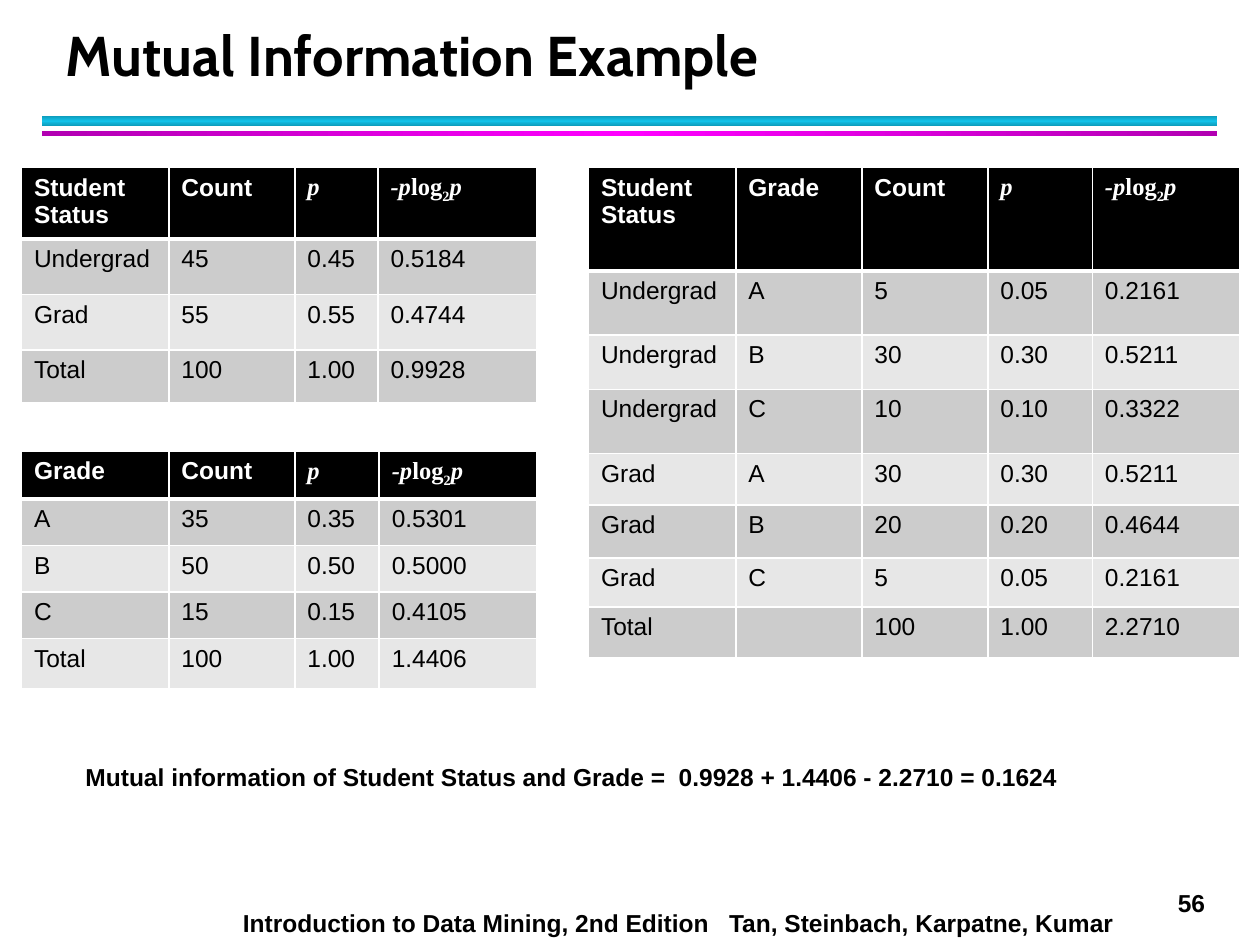
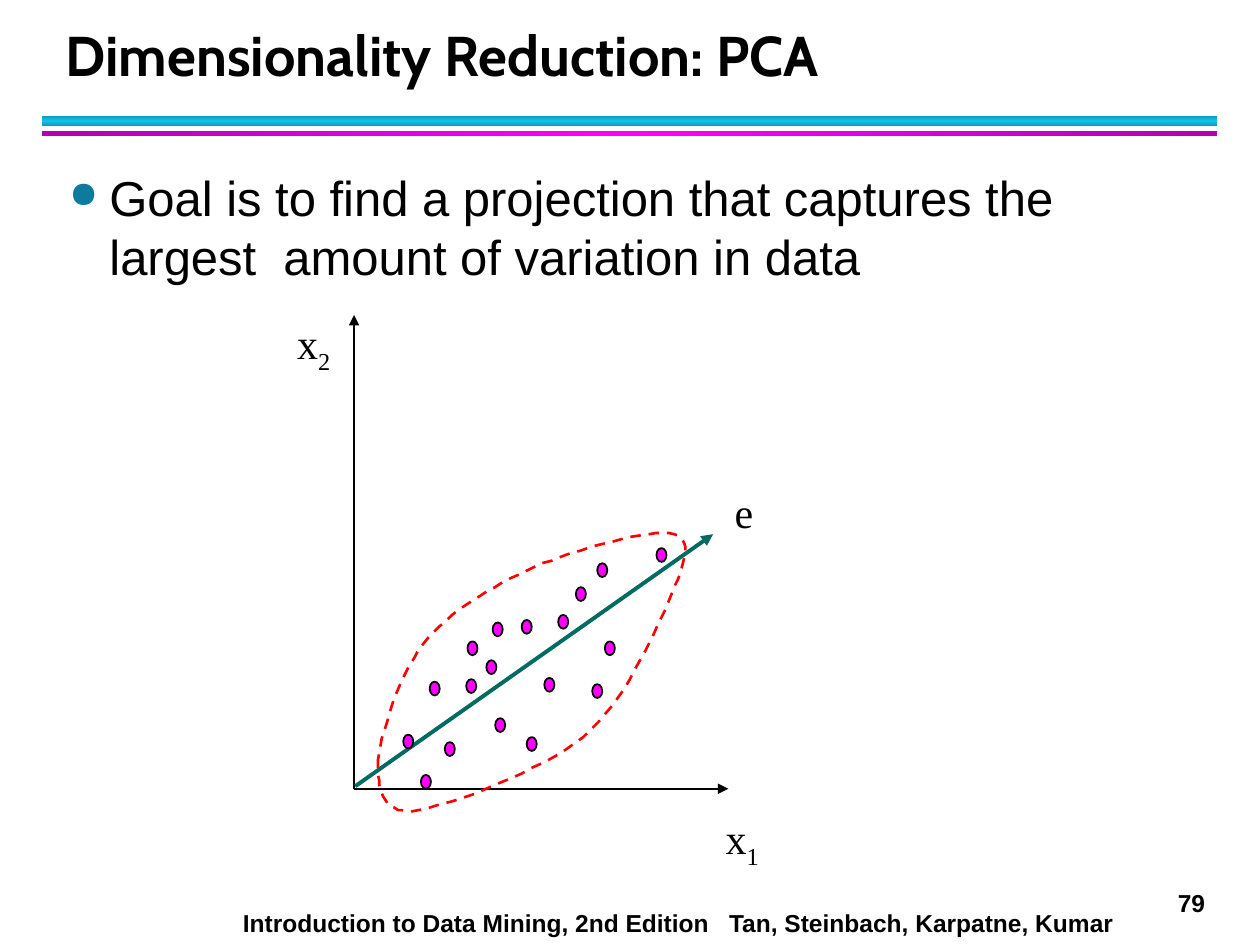
import copy

import pptx
import pptx.dml.color
import pptx.enum.dml
import pptx.enum.shapes
import pptx.enum.text
import pptx.oxml
import pptx.oxml.ns
import pptx.util
from lxml import etree

BLACK, WHITE = "000000", "FFFFFF"
MAGENTA, TEAL, RED = "FF00FF", "006B61", "FF0000"
SANS, SERIF, TITLE_FONT = "Arial", "Times New Roman", "Cabin"
STRIPES = ("E7E7E7", "CCCCCC")
SHAPES = pptx.enum.shapes.MSO_SHAPE
ANCHOR = pptx.enum.text.MSO_ANCHOR
ALIGN = pptx.enum.text.PP_ALIGN
QN = pptx.oxml.ns.qn


def color(hex_string):
    return pptx.dml.color.RGBColor.from_string(hex_string)


def write_text(frame, text, size=14, font=SANS, fill=BLACK, bold=False,
               wrap=True, anchor=ANCHOR.TOP, align=ALIGN.LEFT):
    """Write one paragraph; text is a string or a list of (part, style) pairs."""
    frame.word_wrap = wrap
    frame.vertical_anchor = anchor
    paragraph = frame.paragraphs[0]
    paragraph.alignment = align
    for part, style in [(text, "")] if isinstance(text, str) else text:
        run = paragraph.add_run()
        run.text = part
        run.font.size = pptx.util.Pt(size)
        run.font.name = font
        run.font.bold = bold
        run.font.italic = style == "italic"
        run.font.color.rgb = color(fill)
        if style == "subscript":
            run.font._element.set("baseline", "-25000")
    return paragraph


presentation = pptx.Presentation()
presentation.slide_width = pptx.util.Inches(10)
presentation.slide_height = pptx.util.Inches(7.5)
# The slide is a grid of 1000 columns and 750 rows of square cells
CELL = presentation.slide_width // 1000

# Shared parts: bands, page number, footer, title
BANDS = [  # top, height, edge colour, middle colour, angle
    (92, 8, "0E9BBA", "12C2E9", 90),
    (104, 4, "B200B2", MAGENTA, 0),
]
FOOTER = "Introduction to Data Mining, 2nd Edition   Tan, Steinbach, Karpatne, Kumar"
PAGES = [("Mutual Information Example", "56"), ("Dimensionality Reduction: PCA", "79")]

for title_text, page_number in PAGES:
    slide = presentation.slides.add_slide(presentation.slide_layouts[5])
    for top, height, edge, middle, angle in BANDS:
        band = slide.shapes.add_shape(SHAPES.RECTANGLE, 33 * CELL, top * CELL,
                                      933 * CELL, height * CELL)
        band.shadow.inherit = False
        band.line.fill.background()
        band.fill.gradient()
        band.fill.gradient_angle = angle
        first_stop, middle_stop = band.fill.gradient_stops
        first_stop.color.rgb, first_stop.position = color(edge), 0
        middle_stop.color.rgb, middle_stop.position = color(middle), 0.5
        stop_list = band._element.find(".//" + QN("a:gsLst"))
        last_stop = copy.deepcopy(stop_list[0])
        last_stop.set("pos", "100000")
        stop_list.append(last_stop)

    number_box = slide.shapes.add_textbox(925 * CELL, 700 * CELL, 44 * CELL, 34 * CELL)
    write_text(number_box.text_frame, page_number, bold=True, wrap=False)
    footer_box = slide.shapes.add_textbox(183 * CELL, 716 * CELL, 733 * CELL, 34 * CELL)
    write_text(footer_box.text_frame, FOOTER, bold=True)

    title = slide.shapes.title
    title.left, title.top = 42 * CELL, 17 * CELL
    title.width, title.height = 906 * CELL, 58 * CELL
    title.text_frame.auto_size = pptx.enum.text.MSO_AUTO_SIZE.NONE
    paragraph = write_text(title.text_frame, title_text, size=32, font=TITLE_FONT,
                           bold=True, anchor=ANCHOR.BOTTOM)
    paragraph.line_spacing = pptx.util.Pt(36)

table_slide, pca_slide = presentation.slides

# Mutual information: three tables
PROBABILITY = [("p", "italic")]
ENTROPY = [("-p", "italic"), ("log", ""), ("2", "subscript"), ("p", "italic")]
MEASURES = ["Count", PROBABILITY, ENTROPY]
TABLES = [  # left, top, column widths, row heights, rows
    (17, 133, (117, 100, 66, 126), (44, 44, 44, 42), [
        ["Student Status"] + MEASURES,
        ["Undergrad", "45", "0.45", "0.5184"],
        ["Grad", "55", "0.55", "0.4744"],
        ["Total", "100", "1.00", "0.9928"],
    ]),
    (17, 358, (117, 100, 67, 125), (38, 37, 37, 37, 40), [
        ["Grade"] + MEASURES,
        ["A", "35", "0.35", "0.5301"],
        ["B", "50", "0.50", "0.5000"],
        ["C", "15", "0.15", "0.4105"],
        ["Total", "100", "1.00", "1.4406"],
    ]),
    (467, 133, (117, 100, 100, 83, 117), (82, 51, 43, 51, 41, 42, 39, 39), [
        ["Student Status", "Grade"] + MEASURES,
        ["Undergrad", "A", "5", "0.05", "0.2161"],
        ["Undergrad", "B", "30", "0.30", "0.5211"],
        ["Undergrad", "C", "10", "0.10", "0.3322"],
        ["Grad", "A", "30", "0.30", "0.5211"],
        ["Grad", "B", "20", "0.20", "0.4644"],
        ["Grad", "C", "5", "0.05", "0.2161"],
        ["Total", "", "100", "1.00", "2.2710"],
    ]),
]

for left, top, widths, heights, rows in TABLES:
    table = table_slide.shapes.add_table(
        len(rows), len(widths), left * CELL, top * CELL,
        sum(widths) * CELL, sum(heights) * CELL).table
    table.first_row = table.horz_banding = False
    for column, width in zip(table.columns, widths):
        column.width = width * CELL
    for row_index, (values, height) in enumerate(zip(rows, heights)):
        table.rows[row_index].height = height * CELL
        is_header = row_index == 0
        # The rule between header and body is thicker than the others
        borders = {"L": 1, "R": 1, "T": 3 if row_index == 1 else 1,
                   "B": 3 if is_header else 1}
        for column_index, value in enumerate(values):
            cell = table.cell(row_index, column_index)
            properties = cell._tc.get_or_add_tcPr()
            for side, points in borders.items():
                line = etree.SubElement(properties, QN("a:ln" + side),
                                        w=str(pptx.util.Pt(points)))
                solid = etree.SubElement(line, QN("a:solidFill"))
                etree.SubElement(solid, QN("a:srgbClr"), val=WHITE)
            cell.fill.solid()
            cell.fill.fore_color.rgb = color(BLACK if is_header else STRIPES[row_index % 2])
            if value:
                write_text(cell.text_frame, value, bold=is_header,
                           fill=WHITE if is_header else BLACK,
                           font=SANS if isinstance(value, str) else SERIF)

result_box = table_slide.shapes.add_textbox(58 * CELL, 600 * CELL, 875 * CELL, 34 * CELL)
write_text(result_box.text_frame,
           "Mutual information of Student Status and Grade =  "
           "0.9928 + 1.4406 - 2.2710 = 0.1624", bold=True)

# PCA: goal as a bulleted paragraph
goal_box = pca_slide.shapes.add_textbox(45 * CELL, 128 * CELL, 910 * CELL, 110 * CELL)
paragraph = write_text(
    goal_box.text_frame,
    "Goal is to find a projection that captures the largest  amount of variation in data",
    size=28)
properties = paragraph._p.get_or_add_pPr()
properties.set("marL", str(32 * CELL))
properties.set("indent", str(-32 * CELL))
bullet_color = etree.SubElement(properties, QN("a:buClr"))
etree.SubElement(bullet_color, QN("a:srgbClr"), val="0C7B9C")
etree.SubElement(properties, QN("a:buSzPct"), val="75000")
etree.SubElement(properties, QN("a:buChar"), char="●")

# PCA: two axes and the principal direction
ARROWS = [  # start, end, colour, width
    ((281, 626), (281, 250), BLACK, 1),
    ((281, 626), (578, 626), BLACK, 1),
    ((282, 624), (566, 424), TEAL, 2.25),
]
for start, end, line_color, width in ARROWS:
    arrow = pca_slide.shapes.add_connector(
        pptx.enum.shapes.MSO_CONNECTOR.STRAIGHT,
        *(number * CELL for number in start + end))
    arrow.line.color.rgb = color(line_color)
    arrow.line.width = pptx.util.Pt(width)
    etree.SubElement(arrow.line._get_or_add_ln(), QN("a:tailEnd"), type="triangle")
    etree.SubElement(arrow._element.spPr, QN("a:effectLst"))

# PCA: data points
POINTS = [
    (341, 541), (371, 509), (320, 583), (386, 524), (370, 539), (432, 538),
    (418, 585), (393, 570), (414, 492), (480, 509), (521, 435), (353, 589),
    (443, 488), (474, 447), (391, 494), (457, 466), (470, 543), (334, 615),
]
for left, top in POINTS:
    point = pca_slide.shapes.add_shape(SHAPES.OVAL, left * CELL, top * CELL,
                                       8 * CELL, 11 * CELL)
    point.shadow.inherit = False
    point.fill.solid()
    point.fill.fore_color.rgb = color(MAGENTA)
    point.line.color.rgb = color(BLACK)
    point.line.width = pptx.util.Pt(1)

# PCA: dashed outline, traced along cubic curves
OUTLINE_START = (300, 607)
OUTLINE_CURVES = [  # two control points and an end point
    ((301, 585), (316, 537), (336, 511)),
    ((357, 485), (391, 465), (424, 450)),
    ((457, 436), (518, 419), (535, 424)),
    ((553, 429), (541, 452), (530, 479)),
    ((518, 505), (496, 557), (463, 585)),
    ((430, 612), (359, 638), (332, 643)),
    ((305, 648), (300, 629), (300, 607)),
]
STEPS = 16
outline_points = []
curve_start = OUTLINE_START
for control_1, control_2, curve_end in OUTLINE_CURVES:
    for step in range(1, STEPS + 1):
        t = step / STEPS
        outline_points.append([
            (1 - t) ** 3 * a + 3 * (1 - t) ** 2 * t * b + 3 * (1 - t) * t ** 2 * c + t ** 3 * d
            for a, b, c, d in zip(curve_start, control_1, control_2, curve_end)])
    curve_start = curve_end
builder = pca_slide.shapes.build_freeform(*OUTLINE_START, scale=CELL)
builder.add_line_segments(outline_points, close=True)
outline = builder.convert_to_shape()
outline.shadow.inherit = False
outline.fill.background()
outline.line.color.rgb = color(RED)
outline.line.width = pptx.util.Pt(1.5)
outline.line.dash_style = pptx.enum.dml.MSO_LINE.DASH

# PCA: labels of the axes and the direction
LABELS = [  # left, top, width, text
    (225, 250, 48, [("x", ""), ("2", "subscript")]),
    (565, 643, 48, [("x", ""), ("1", "subscript")]),
    (573, 381, 35, "e"),
]
for left, top, width, text in LABELS:
    label = pca_slide.shapes.add_textbox(left * CELL, top * CELL, width * CELL, 50 * CELL)
    write_text(label.text_frame, text, size=24, font=SERIF, wrap=False,
               anchor=ANCHOR.MIDDLE, align=ALIGN.CENTER)

presentation.save("out.pptx")
